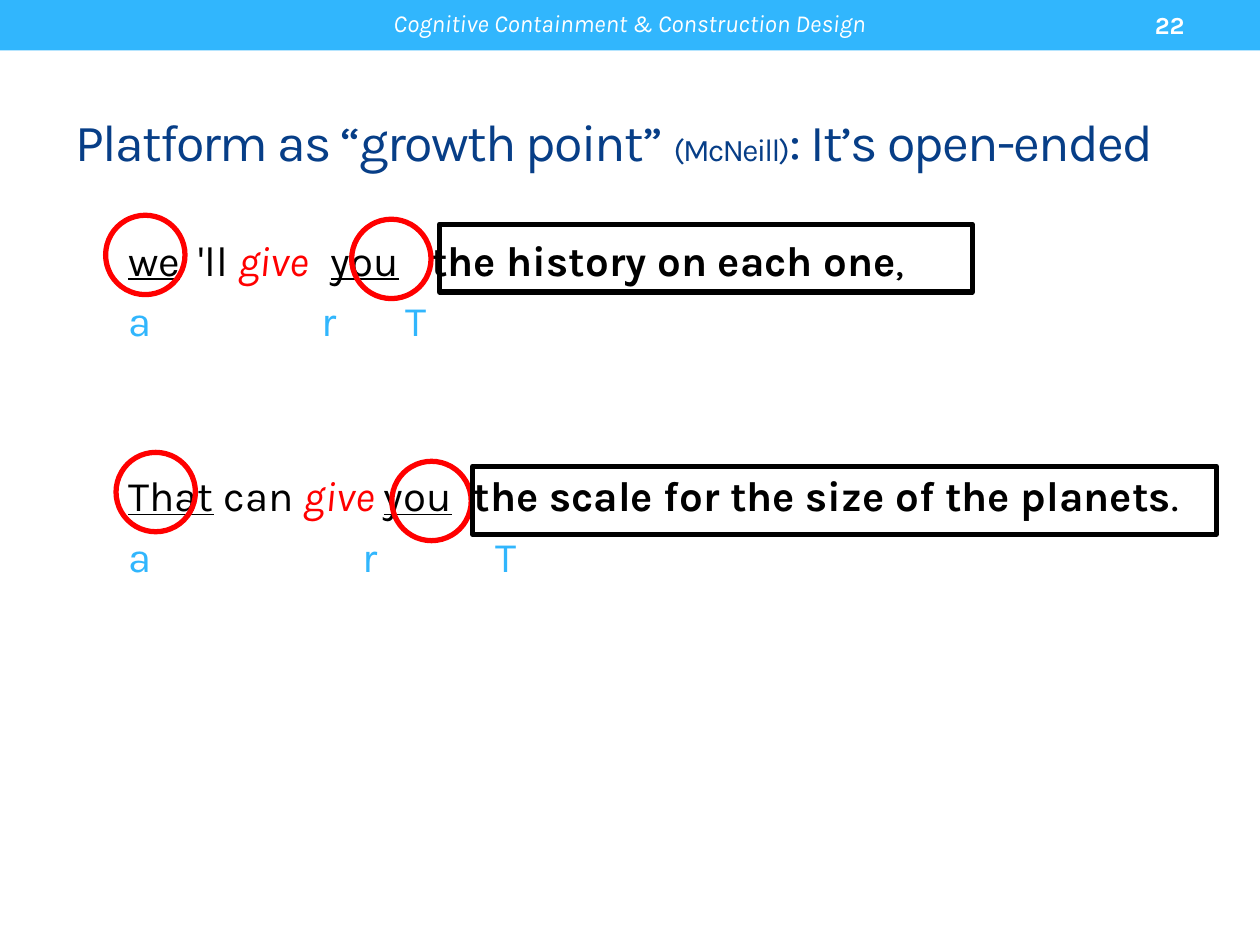
import pptx
import pptx.util
import pptx.dml.color
import pptx.enum.shapes
import pptx.enum.text
import pptx.oxml.ns
import lxml.etree

Cm, Pt = pptx.util.Cm, pptx.util.Pt
SHAPE = pptx.enum.shapes.MSO_SHAPE
ALIGN = pptx.enum.text.PP_ALIGN
ANCHOR = pptx.enum.text.MSO_ANCHOR

COLORS = {"sky": "31B6FD", "navy": "073E87", "red": "FF0000",
          "black": "000000", "white": "FFFFFF"}
UNDER = {"underline": True}
VERB = {"color": "red", "italic": True}
BOLD = {"bold": True}

TITLE = [("Platform as “growth point” ", {}), ("(McNeill)", {"size": 18}),
         (": It’s open-ended", {})]
EXAMPLES = [
    {"top": 4.6,
     "words": [("we", UNDER), ("\t'll ", {}), ("give", VERB), ("\t", {}),
               ("you", UNDER), ("\t", {}),
               ("the history on each one", BOLD), (",", {})],
     "word_tabs": [1.42, 4.08, 6.1],
     "gloss_tabs": [3.9, 5.59],
     "circles": [(2.13, 4.34), (7.09, 4.42)],
     "frame": (8.86, 4.52, 10.74)},
    {"top": 9.35,
     "words": [("That", UNDER), (" can ", {}), ("give ", VERB), ("you", UNDER),
               ("\t", {}), ("the scale for the size of the planets", BOLD),
               (".", {})],
     "word_tabs": [6.96],
     "gloss_tabs": [4.72, 7.39],
     "circles": [(2.34, 9.12), (7.9, 9.3)],
     "frame": (9.53, 9.4, 14.99)},
]
GLOSS = [("a\tr\tT", {"color": "sky"})]
CIRCLE, FRAME_H = 1.6, 1.37


def rgb(name):
    return pptx.dml.color.RGBColor.from_string(COLORS[name])


def add_run(p, text, size=24, color="black", bold=False, italic=False,
            underline=False, spacing=0):
    r = p.add_run()
    r.text = text
    f = r.font
    f.name, f.size, f.color.rgb = "Karla", Pt(size), rgb(color)
    f.bold, f.italic, f.underline = bold, italic, underline
    if spacing:
        r._r.get_or_add_rPr().set("spc", str(spacing * 100))


def add_text(s, box, paragraphs, align=ALIGN.LEFT, anchor=ANCHOR.MIDDLE,
             tabs=(), gap=0, **base):
    tf = s.shapes.add_textbox(*map(Cm, box)).text_frame
    tf.word_wrap, tf.vertical_anchor = True, anchor
    for i, runs in enumerate(paragraphs):
        p = tf.add_paragraph() if i else tf.paragraphs[0]
        p.alignment = align
        if i:
            p.space_before = Pt(gap)
        if tabs:
            tag = pptx.oxml.ns.qn
            stops = lxml.etree.SubElement(p._p.get_or_add_pPr(), tag("a:tabLst"))
            for pos in tabs[i]:
                lxml.etree.SubElement(stops, tag("a:tab"), pos=str(Cm(pos)), algn="l")
        for text, fmt in runs:
            add_run(p, text, **{**base, **fmt})


def add_shape(s, kind, box, fill=None, line=None):
    sp = s.shapes.add_shape(kind, *map(Cm, box))
    sp.shadow.inherit = False
    if fill:
        sp.fill.solid()
        sp.fill.fore_color.rgb = rgb(fill)
    else:
        sp.fill.background()
    if line:
        sp.line.color.rgb, sp.line.width = rgb(line), Pt(3)
    else:
        sp.line.fill.background()


def main():
    prs = pptx.Presentation()
    prs.slide_width, prs.slide_height = Cm(25.4), Cm(19.05)
    s = prs.slides.add_slide(prs.slide_layouts[6])

    add_shape(s, SHAPE.RECTANGLE, (0, 0, 25.4, 1.02), fill="sky")
    add_text(s, (1.27, 1.47, 22.86, 2.74), [TITLE], size=29.7, color="navy",
             spacing=-1)
    for ex in EXAMPLES:
        add_text(s, (2.34, ex["top"], 23.06, 2.8), [ex["words"], GLOSS],
                 anchor=ANCHOR.TOP, gap=5.6,
                 tabs=[ex["word_tabs"], ex["gloss_tabs"]])
    for ex in EXAMPLES:
        for left, top in ex["circles"]:
            add_shape(s, SHAPE.OVAL, (left, top, CIRCLE, CIRCLE), line="red")
    for ex in EXAMPLES:
        add_shape(s, SHAPE.RECTANGLE, (*ex["frame"], FRAME_H), line="black")

    add_text(s, (6.98, 0, 11.43, 0.91),
             [[("Cognitive Containment & Construction Design", {})]],
             align=ALIGN.CENTER, size=14, color="white", italic=True)
    add_text(s, (21.16, 0.05, 2.97, 0.91), [[("22", {})]],
             align=ALIGN.RIGHT, size=14, color="white", bold=True)
    prs.save("out.pptx")


if __name__ == "__main__":
    main()
